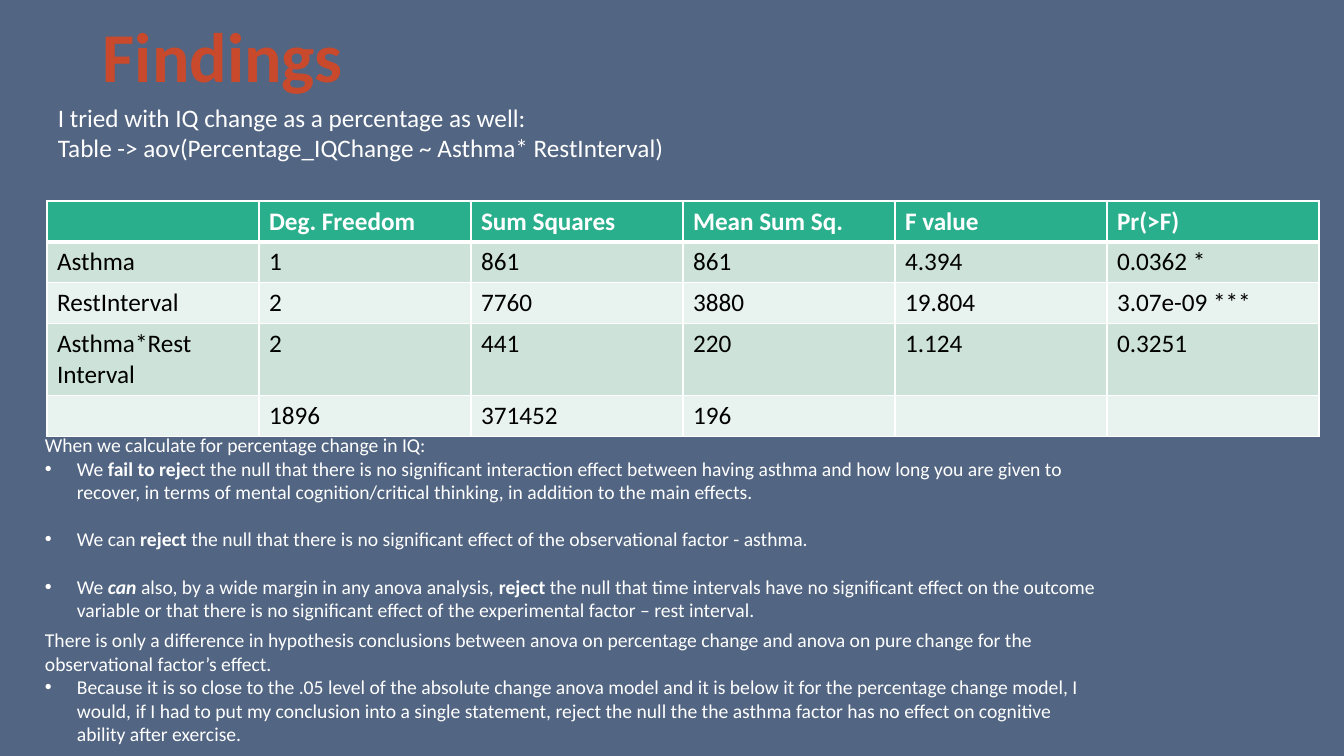
"""Build the Findings slide: an analysis of variance table with its conclusions."""
import pptx
import pptx.dml.color
import pptx.enum.text
import pptx.oxml
import pptx.oxml.ns
import pptx.util

EMU_PER_PIXEL = 914400 / 100.8
FONT = "Calibri"
BACKGROUND = "526582"
WHITE = "FFFFFF"
BLACK = "000000"
TITLE = "C9492C"
HEADER = "29AF8C"
BANDS = ["CDE3DA", "E8F2EE"]
INDENT = 32
LINE_GAP = 17


def pixels(length):
    return pptx.util.Emu(round(length * EMU_PER_PIXEL))


def color(value):
    return pptx.dml.color.RGBColor.from_string(value)


class SlideBuilder:
    def __init__(self, presentation, background):
        self.slide = presentation.slides.add_slide(presentation.slide_layouts[6])
        self.slide.background.fill.solid()
        self.slide.background.fill.fore_color.rgb = color(background)

    def format_run(self, run, size, ink, bold=False, italic=False):
        run.font.name = FONT
        run.font.size = pptx.util.Pt(size)
        run.font.color.rgb = color(ink)
        run.font.bold = bold
        run.font.italic = italic

    def bullet(self, paragraph):
        properties = paragraph._p.get_or_add_pPr()
        properties.set("marL", str(pixels(INDENT)))
        properties.set("indent", str(-pixels(INDENT)))
        namespace = pptx.oxml.ns.nsdecls("a")
        properties.append(pptx.oxml.parse_xml(f'<a:buFont {namespace} typeface="Arial"/>'))
        properties.append(pptx.oxml.parse_xml(f'<a:buChar {namespace} char="•"/>'))

    def text(self, box, paragraphs, size, ink=WHITE, bold=False):
        """Each paragraph is (is bulleted, space before, [(text, style letters), ...])."""
        shape = self.slide.shapes.add_textbox(*map(pixels, box))
        frame = shape.text_frame
        frame.word_wrap = True
        frame.auto_size = pptx.enum.text.MSO_AUTO_SIZE.SHAPE_TO_FIT_TEXT
        for index, (bulleted, gap, parts) in enumerate(paragraphs):
            paragraph = frame.add_paragraph() if index else frame.paragraphs[0]
            paragraph.space_before = pptx.util.Pt(gap)
            if bulleted:
                self.bullet(paragraph)
            for words, style in parts:
                run = paragraph.add_run()
                run.text = words
                self.format_run(run, size, ink, bold or "b" in style, "i" in style)

    def borders(self, cell, bottom):
        properties = cell._tc.get_or_add_tcPr()
        widths = {"lnL": 1, "lnR": 1, "lnT": 1, "lnB": bottom}
        for index, (side, width) in enumerate(widths.items()):
            properties.insert(index, pptx.oxml.parse_xml(
                f'<a:{side} {pptx.oxml.ns.nsdecls("a")} w="{pptx.util.Pt(width)}">'
                f'<a:solidFill><a:srgbClr val="{WHITE}"/></a:solidFill></a:{side}>'))

    def table(self, left, top, column_width, row_heights, rows, size):
        columns = len(rows[0])
        table = self.slide.shapes.add_table(
            len(rows), columns, pixels(left), pixels(top),
            pixels(column_width * columns), pixels(sum(row_heights))).table
        table.horz_banding = False
        for column in table.columns:
            column.width = pixels(column_width)
        for row_index, values in enumerate(rows):
            table.rows[row_index].height = pixels(row_heights[row_index])
            is_header = row_index == 0
            for column_index, value in enumerate(values):
                cell = table.cell(row_index, column_index)
                cell.fill.solid()
                cell.fill.fore_color.rgb = color(HEADER if is_header else BANDS[(row_index - 1) % 2])
                self.borders(cell, 3 if is_header or row_index == 0 else 1)
                cell.text_frame.text = value
                paragraph = cell.text_frame.paragraphs[0]
                paragraph.font.size = pptx.util.Pt(size)
                for run in paragraph.runs:
                    self.format_run(run, size, WHITE if is_header else BLACK, is_header)


presentation = pptx.Presentation()
presentation.slide_width = pixels(1344)
presentation.slide_height = pixels(756)
builder = SlideBuilder(presentation, BACKGROUND)

anova_rows = [
    ["", "Deg. Freedom", "Sum Squares", "Mean Sum Sq.", "F value", "Pr(>F)"],
    ["Asthma", "1", "861", "861", "4.394", "0.0362 *"],
    ["RestInterval", "2", "7760", "3880", "19.804", "3.07e-09 ***"],
    ["Asthma*Rest Interval", "2", "441", "220", "1.124", "0.3251"],
    ["", "1896", "371452", "196", "", ""],
]
builder.table(47, 201, 212, [40, 40, 40, 71, 40], anova_rows, 18)

builder.text((93, 8, 783, 95), [(False, 0, [("Findings", "")])], 50, TITLE, True)

introduction = [
    "I tried with IQ change as a percentage as well:",
    "Table -> aov(Percentage_IQChange ~ Asthma* RestInterval)",
]
builder.text((48, 97, 938, 71), [(False, 0, [(line, "")]) for line in introduction], 18)

conclusions = [
    (False, 0, [("When we calculate for percentage change in IQ:", "")]),
    (True, 0, [
        ("We ", ""), ("fail to reje", "b"),
        ("ct the null that there is no significant interaction effect between having asthma "
         "and how long you are given to recover, in terms of mental cognition/critical "
         "thinking, in addition to the main effects.", "")]),
    (True, LINE_GAP, [
        ("We can ", ""), ("reject ", "b"),
        ("the null that there is no significant effect of the observational factor - asthma.", "")]),
    (True, LINE_GAP, [
        ("We ", ""), ("can", "bi"), (" also, by a wide margin in any anova analysis, ", ""),
        ("reject", "b"),
        (" the null that time intervals have no significant effect on the outcome variable or "
         "that there is no significant effect of the experimental factor – rest interval.", "")]),
]
builder.text((35, 428, 1077, 201), conclusions, 14)

comparison = [
    (False, 0, [
        ("There is only a difference in hypothesis conclusions between anova on percentage "
         "change and anova on pure change for the observational factor’s effect.", "")]),
    (True, 0, [
        ("Because it is so close to the .05 level of the absolute change anova model and it is "
         "below it for the percentage change model, I would, if I had to put my conclusion into "
         "a single statement, reject the null the the asthma factor has no effect on cognitive "
         "ability after exercise.", "")]),
]
builder.text((35, 623, 1077, 129), comparison, 14)

presentation.save("out.pptx")
